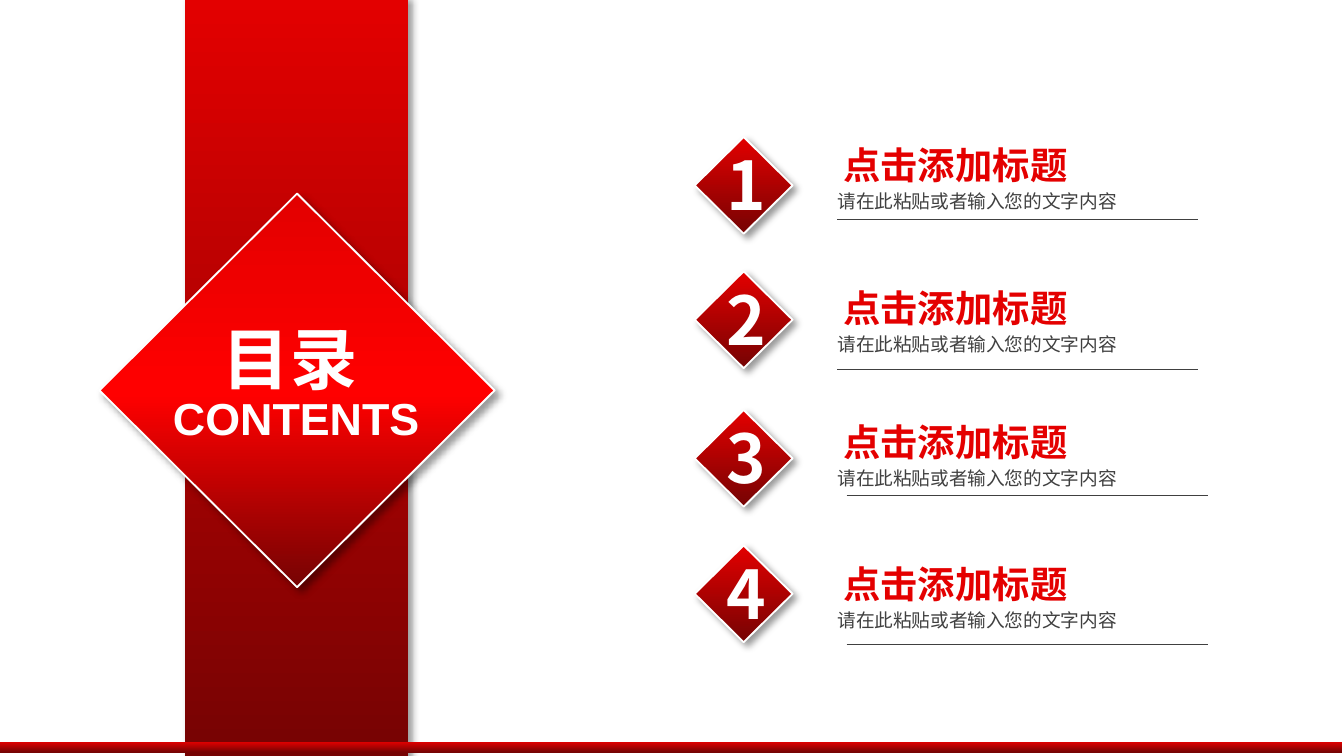
from lxml.etree import SubElement
from pptx import Presentation
from pptx.dml.color import RGBColor
from pptx.enum.shapes import MSO_CONNECTOR, MSO_SHAPE
from pptx.enum.text import MSO_ANCHOR, MSO_AUTO_SIZE, PP_ALIGN
from pptx.oxml.ns import qn
from pptx.util import Cm, Pt

HEADING = "目录"
SUBHEADING = "CONTENTS"
ENTRIES = [
    dict(number="1", title="点击添加标题 ", detail="请在此粘贴或者输入您的文字内容",
         diamond_top=2.59, title_top=2.57, rule=(15.82, 4.14)),
    dict(number="2", title="点击添加标题 ", detail="请在此粘贴或者输入您的文字内容",
         diamond_top=5.13, title_top=5.26, rule=(15.82, 6.99)),
    dict(number="3", title="点击添加标题 ", detail="请在此粘贴或者输入您的文字内容",
         diamond_top=7.75, title_top=7.8, rule=(16, 9.37)),
    dict(number="4", title="点击添加标题 ", detail="请在此粘贴或者输入您的文字内容",
         diamond_top=10.31, title_top=10.49, rule=(16, 12.19)),
]
CHINESE_FONT = "Noto Sans CJK SC"
WHITE, RED, GREY = "FFFFFF", "E40000", "404040"
DEEP_RED = [(0, "E30000"), (100, "760303")]
BRIGHT_RED = [(0, "E30000"), (51, "FF0000"), (100, "760303")]
RULE_LENGTH = 6.83
DETAIL_OFFSET = 0.9


def color(value):
    return RGBColor.from_string(value)


def add_panel(slide, kind, box, stops, outline=None, shadow=True):
    panel = slide.shapes.add_shape(kind, *map(Cm, box))
    panel.shadow.inherit = False
    panel.fill.gradient()
    panel.fill.gradient_angle = 270
    properties = panel.element.spPr
    stop_list = properties.find(".//" + qn("a:gsLst"))
    for stop in list(stop_list):
        stop_list.remove(stop)
    for position, value in stops:
        stop = SubElement(stop_list, qn("a:gs"), pos=str(position * 1000))
        SubElement(stop, qn("a:srgbClr"), val=value)
    if outline:
        panel.line.color.rgb = color(outline)
        panel.line.width = Pt(1)
    else:
        panel.line.fill.background()
    if shadow:
        effects = properties.find(qn("a:effectLst"))
        outer = SubElement(effects, qn("a:outerShdw"), blurRad=str(Pt(4)),
                           dist=str(Pt(3)), dir="2700000", algn="tl", rotWithShape="0")
        tint = SubElement(outer, qn("a:srgbClr"), val="000000")
        SubElement(tint, qn("a:alpha"), val="40000")


def add_text(slide, text, box, size, font=CHINESE_FONT, fill=WHITE, bold=True,
             align=PP_ALIGN.LEFT, holder=None):
    holder = holder or slide.shapes.add_textbox(0, 0, 0, 0)
    holder.left, holder.top, holder.width, holder.height = map(Cm, box)
    frame = holder.text_frame
    frame.word_wrap = False
    frame.auto_size = MSO_AUTO_SIZE.SHAPE_TO_FIT_TEXT
    frame.vertical_anchor = MSO_ANCHOR.TOP
    paragraph = frame.paragraphs[0]
    paragraph.alignment = align
    run = paragraph.add_run()
    run.text = text
    run.font.name = font
    run.font.size = Pt(size)
    run.font.bold = bold
    run.font.color.rgb = color(fill)
    SubElement(run.font._element, qn("a:ea"), typeface=font)


def add_rule(slide, left, top):
    rule = slide.shapes.add_connector(
        MSO_CONNECTOR.STRAIGHT, Cm(left), Cm(top), Cm(left + RULE_LENGTH), Cm(top))
    rule.line.color.rgb = color(GREY)
    rule.line.width = Pt(0.5)
    SubElement(rule.element.spPr, qn("a:effectLst"))


def add_entry(slide, entry):
    diamond_top, title_top = entry["diamond_top"], entry["title_top"]
    add_panel(slide, MSO_SHAPE.DIAMOND, (13.13, diamond_top, 1.85, 1.83), DEEP_RED, WHITE)
    add_text(slide, entry["number"], (13.49, diamond_top, 1.14, 1.78), 36)
    add_text(slide, entry["title"], (15.57, title_top, 5.13, 1.09), 20,
             fill=RED, align=PP_ALIGN.CENTER)
    add_text(slide, entry["detail"], (15.57, title_top + DETAIL_OFFSET, 5.79, 0.69), 10,
             fill=GREY, bold=False, align=PP_ALIGN.CENTER)
    add_rule(slide, *entry["rule"])


def main():
    deck = Presentation()
    deck.slide_width, deck.slide_height = Cm(25.4), Cm(14.29)
    slide = deck.slides.add_slide(deck.slide_layouts[5])
    heading = slide.shapes.title

    add_panel(slide, MSO_SHAPE.RECTANGLE, (3.5, -0.08, 4.22, 14.4), DEEP_RED)
    add_panel(slide, MSO_SHAPE.DIAMOND, (1.88, 3.66, 7.47, 7.44), BRIGHT_RED, WHITE)
    slide.shapes._spTree.append(heading.element)
    add_text(slide, HEADING, (3.96, 5.87, 3.05, 1.78), 36, holder=heading)
    add_text(slide, SUBHEADING, (3.02, 7.26, 5.16, 1.27), 24, font="Arial")
    for entry in ENTRIES:
        add_entry(slide, entry)
    add_panel(slide, MSO_SHAPE.RECTANGLE, (0, 14.02, 25.37, 0.2), DEEP_RED, shadow=False)
    deck.save("out.pptx")


if __name__ == "__main__":
    main()
